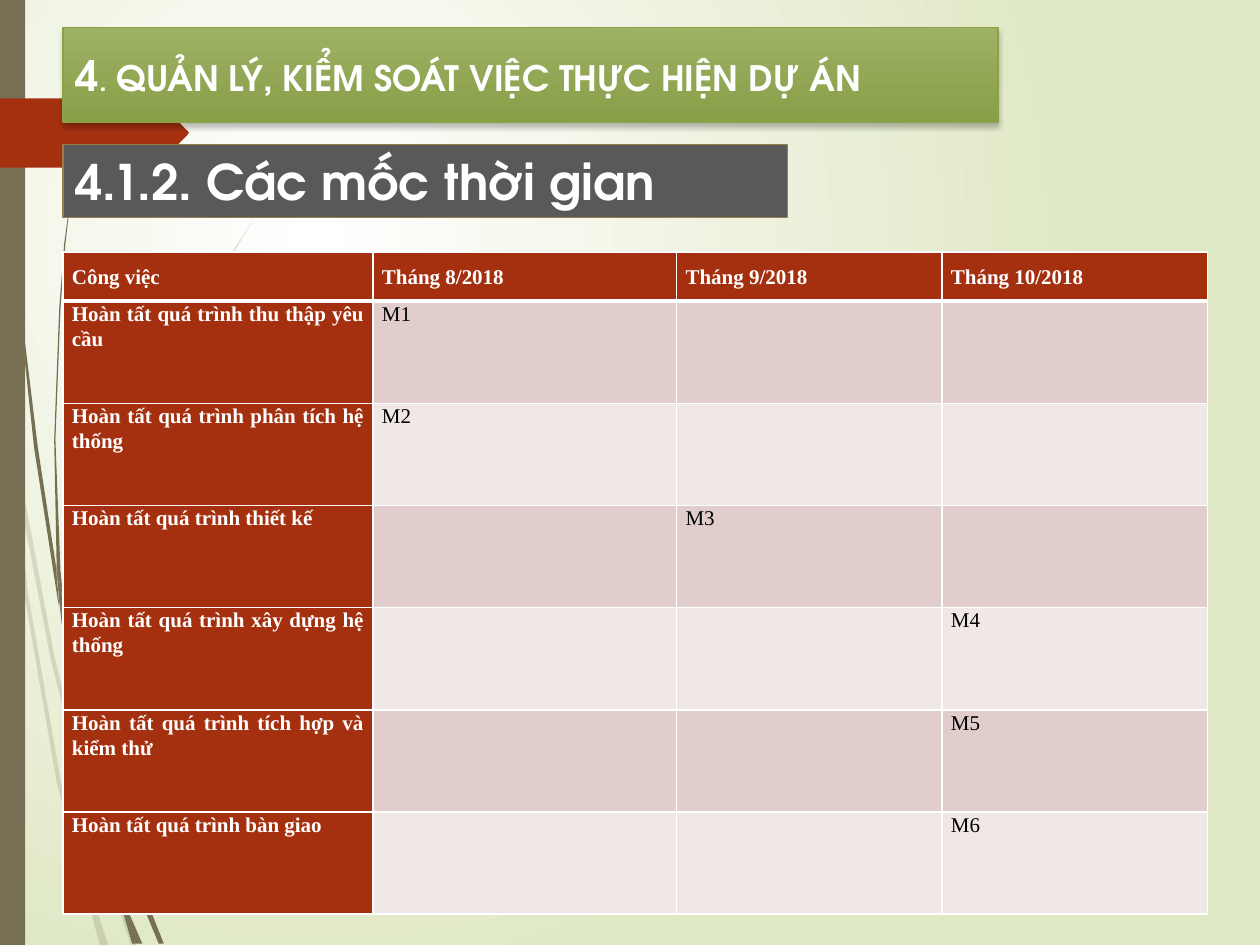
from dataclasses import dataclass

from lxml.etree import SubElement
from pptx import Presentation
from pptx.dml.color import RGBColor as RGB
from pptx.enum.shapes import MSO_SHAPE as Kind
from pptx.enum.text import MSO_ANCHOR as Anchor, MSO_AUTO_SIZE as Fit, PP_ALIGN as Align
from pptx.oxml import parse_xml
from pptx.oxml.ns import nsdecls, qn
from pptx.util import Cm, Pt


@dataclass(frozen=True)
class Theme:
    white: str = "FFFFFF"
    black: str = "000000"
    pale: str = "DFE8C4"
    olive: str = "766F54"
    red: str = "A53010"
    green: str = "9DB265"
    moss: str = "889E47"
    edge: str = "8BA249"
    gray: str = "595959"
    tan: str = "987D4D"
    bands: tuple = ("E1CDCC", "F0E8E7")
    head: str = "TeX Gyre Adventor"
    body: str = "Times New Roman"
    big: int = 28
    lead: int = 24
    mid: int = 20
    dot: int = 16
    small: int = 12


T = Theme()
UNIT = Cm(0.0254)  # one step of the outline grid

TITLE = (("4", T.lead, True), (".", T.dot, True), (" ", T.mid, False),
         ("QUẢN LÝ, KIỂM SOÁT VIỆC THỰC HIỆN DỰ ÁN", T.mid, True))
HEADS = ("Công việc", "Tháng 8/2018", "Tháng 9/2018", "Tháng 10/2018")
TASKS = (("Hoàn tất quá trình thu thập yêu cầu", 1),
         ("Hoàn tất quá trình phân tích hệ thống", 1),
         ("Hoàn tất quá trình thiết kế", 2),
         ("Hoàn tất quá trình xây dựng hệ thống", 3),
         ("Hoàn tất quá trình tích hợp và kiểm thử", 3),
         ("Hoàn tất quá trình bàn giao", 3))

# Outlines of the grass blades, as x,y points on the grid
FAINT = (
    "8,350 6,322 0,282 0,299 7,344",
    "40,522 59,599 59,586 43,520 10,345 12,376",
    "64,607 61,596 61,610 85,694 104,750 108,750 88,692",
    "83,750 86,750 73,711",
    "64,683 48,619 22,469 12,376 8,350 19,470 45,621 64,693 70,714 69,707",
    "58,599 60,646 64,683 67,692 73,711 72,706 63,646 61,610 61,608",
    "61,584 76,462 111,349 159,245 187,198 201,175 217,154 217,153 201,175 186,197 "
    "158,244 110,348 75,461 59,584 59,586 61,596",
    "70,714 79,750 82,750",
    "61,608 61,610 61,596 59,586 58,599",
    "67,692 65,683 69,707 70,714 82,750 83,750 73,711",
)
DARK = (
    "5,110 14,233 27,355 46,477 47,481 45,457 45,453 30,355 15,232 6,109 4,48 3,0 2,0 3,48",
    "73,592 88,645 88,633 88,631 77,590 50,472 53,505",
    "94,649 91,641 91,656 109,708 126,749 130,749 113,706",
    "91,691 81,657 60,556 53,505 47,477 56,557 77,659 92,708 97,722 96,717",
    "50,472 48,453 44,349 48,245 52,193 58,141 51,193 47,245 43,349 45,449 49,472",
    "110,749 113,749 100,719",
    "47,477 53,505 50,472 49,472 45,449 45,453",
    "91,633 103,552 131,476 169,406 191,374 203,359 216,344 215,344 203,358 191,373 "
    "168,405 129,474 101,551 88,631 91,641",
    "97,722 105,749 108,749",
    "88,645 91,691 96,706 100,719 100,716 91,656 90,651",
    "88,645 90,651 91,656 91,641 88,631 88,633",
    "96,706 91,691 96,717 97,722 108,749 110,749 100,719",
)
ARROW = "149,107 124,132 121,133 0,133 0,78 121,78 124,79 149,104 150,105"


def paint(shape, fill, line=None):
    shape.shadow.inherit = False
    shape.fill.solid()
    shape.fill.fore_color.rgb = RGB.from_string(fill)
    edge(shape, line)


def edge(shape, line):
    if line:
        shape.line.color.rgb = RGB.from_string(line)
        shape.line.width = Pt(0.75)
    else:
        shape.line.fill.background()


def style(run, font, size, color, bold=True):
    run.font.name, run.font.size, run.font.bold = font, Pt(size), bold
    run.font.color.rgb = RGB.from_string(color)


def place(shape, left, top, width, height):
    shape.left, shape.top = Cm(left), Cm(top)
    shape.width, shape.height = Cm(width), Cm(height)


def outline(shapes, points, color, alpha=None):
    dots = [tuple(map(int, dot.split(","))) for dot in points.split()]
    pen = shapes.build_freeform(*dots[0], scale=UNIT)
    pen.add_line_segments(dots[1:], close=True)
    shape = pen.convert_to_shape()
    paint(shape, color)
    if alpha:
        tint = shape.fill._xPr.find(qn("a:solidFill"))[0]
        SubElement(tint, qn("a:alpha")).set("val", str(alpha * 1000))


def backdrop(slide):
    # Radial background
    stops = "".join(f'<a:gs pos="{pos}"><a:srgbClr val="{tone}"/></a:gs>'
                    for pos, tone in ((0, T.white), (100000, T.pale)))
    slide.element.cSld.insert(0, parse_xml(
        f'<p:bg {nsdecls("p", "a")}><p:bgPr><a:gradFill rotWithShape="1">'
        f'<a:gsLst>{stops}</a:gsLst><a:path path="circle">'
        '<a:fillToRect l="50000" t="50000" r="100000" b="100000"/></a:path>'
        '</a:gradFill><a:effectLst/></p:bgPr></p:bg>'))
    # Grass blades, side bar and arrow
    for blades, alpha in ((FAINT, 20), (DARK, None)):
        group = slide.shapes.add_group_shape()
        for blade in blades:
            outline(group.shapes, blade, T.olive, alpha)
    bar = slide.shapes.add_shape(Kind.RECTANGLE, 0, 0, Cm(0.51), Cm(19.05))
    paint(bar, T.olive)
    outline(slide.shapes, ARROW, T.red)


def banner(slide):
    title = slide.shapes.title
    title.element.getparent().append(title.element)  # bring to front
    place(title, 1.27, 0.56, 18.85, 1.9)
    title.fill.gradient()
    title.fill.gradient_angle = 270
    for stop, tone in zip(title.fill.gradient_stops, (T.green, T.moss)):
        stop.color.rgb = RGB.from_string(tone)
    edge(title, T.edge)
    title.element.spPr.append(parse_xml(
        f'<a:effectLst {nsdecls("a")}><a:outerShdw blurRad="{Pt(3)}" dist="{Pt(2)}" '
        f'dir="5400000" rotWithShape="0"><a:srgbClr val="{T.black}">'
        '<a:alpha val="25000"/></a:srgbClr></a:outerShdw></a:effectLst>'))
    frame = title.text_frame
    frame.auto_size, frame.vertical_anchor = Fit.NONE, Anchor.MIDDLE
    para = frame.paragraphs[0]
    para.alignment = Align.LEFT
    for text, size, bold in TITLE:
        run = para.add_run()
        run.text = text
        style(run, T.head, size, T.white, bold)


def heading(slide, text):
    box = slide.shapes.add_shape(Kind.RECTANGLE, Cm(1.27), Cm(2.92), Cm(14.6), Cm(1.47))
    paint(box, T.gray, T.tan)
    frame = box.text_frame
    frame.text, frame.vertical_anchor = text, Anchor.MIDDLE
    para = frame.paragraphs[0]
    para.alignment = Align.LEFT
    style(para.runs[0], T.head, T.big, T.white)


def border(cell, **widths):
    props = cell._tc.get_or_add_tcPr()
    for side in "LRTB":
        line = SubElement(props, qn(f"a:ln{side}"), w=str(Pt(widths.get(side, 1))))
        fill = SubElement(line, qn("a:solidFill"))
        SubElement(fill, qn("a:srgbClr"), val=T.white)


def write(cell, text, color, bold):
    cell.margin_left = cell.margin_right = Cm(0.18)
    cell.margin_top = cell.margin_bottom = 0
    cell.text = text
    para = cell.text_frame.paragraphs[0]
    para.alignment, para.line_spacing = Align.JUSTIFY, 1.07
    para.space_before, para.space_after = Pt(2.5), Pt(8.4)
    style(para.runs[0], T.body, T.small, color, bold)


def schedule(slide):
    rows = [HEADS]
    for num, (task, month) in enumerate(TASKS, 1):
        rows.append([task] + [f"M{num}" if col == month else "" for col in (1, 2, 3)])
    table = slide.shapes.add_table(len(rows), len(HEADS), Cm(1.27), Cm(5.08),
                                   Cm(23.06), Cm(13.34)).table
    for col, width in zip(table.columns, (6.25, 6.12, 5.35, 5.35)):
        col.width = Cm(width)
    for r, texts in enumerate(rows):
        table.rows[r].height = Cm(2.06 if r else 0.99)
        for c, text in enumerate(texts):
            cell, label = table.cell(r, c), r == 0 or c == 0
            border(cell, T=3 if r == 1 else 1, B=1 if r else 3)
            cell.fill.solid()
            cell.fill.fore_color.rgb = RGB.from_string(T.red if label else T.bands[(r - 1) % 2])
            cell.vertical_anchor = Anchor.TOP if r else Anchor.MIDDLE
            if text:
                write(cell, text, T.white if label else T.black, label)


def main():
    deck = Presentation()
    deck.slide_width, deck.slide_height = Cm(25.4), Cm(19.05)
    slide = deck.slides.add_slide(deck.slide_layouts[5])
    backdrop(slide)
    banner(slide)
    heading(slide, "4.1.2. Các mốc thời gian")
    schedule(slide)
    deck.save("out.pptx")


if __name__ == "__main__":
    main()
